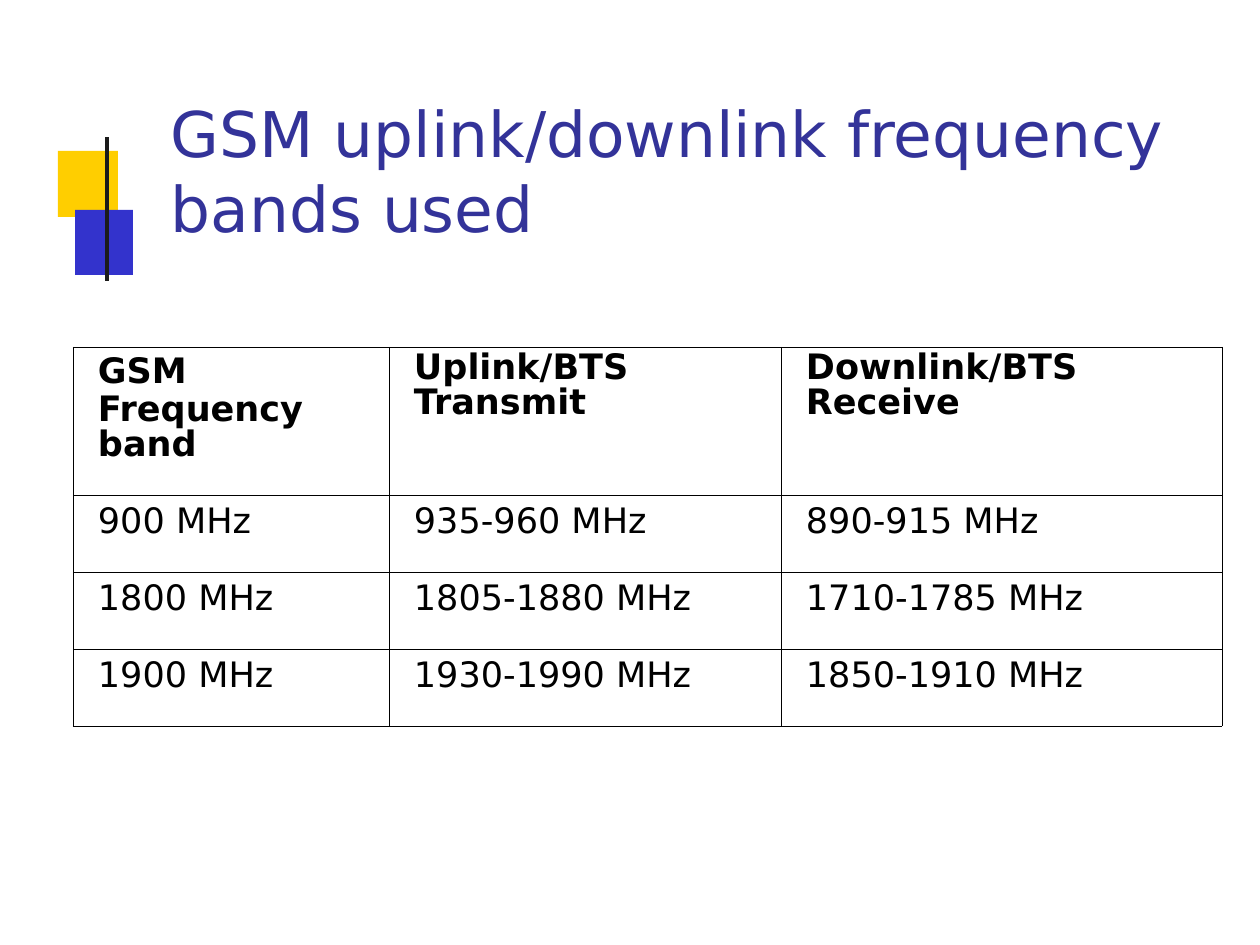
from lxml import etree
from pptx import Presentation
from pptx.dml.color import RGBColor
from pptx.enum.shapes import MSO_SHAPE
from pptx.enum.text import MSO_ANCHOR, MSO_AUTO_SIZE, PP_ALIGN
from pptx.oxml.ns import qn
from pptx.util import Inches, Pt

RECTANGLE = MSO_SHAPE.RECTANGLE
TOP, MIDDLE = MSO_ANCHOR.TOP, MSO_ANCHOR.MIDDLE
NO_AUTOFIT = MSO_AUTO_SIZE.NONE
LEFT = PP_ALIGN.LEFT

# Content
TITLE = "GSM uplink/downlink frequency bands used"
HEADERS = [
    [("GSM", 22), ("Frequency band", 20)],  # paragraph, line spacing in points
    [("Uplink/BTS Transmit", 20)],
    [("Downlink/BTS Receive", 20)],
]
BANDS = [
    ("900 MHz", "935-960 MHz", "890-915 MHz"),
    ("1800 MHz", "1805-1880 MHz", "1710-1785 MHz"),
    ("1900 MHz", "1930-1990 MHz", "1850-1910 MHz"),
]

# Layout in px: left, top, width, height
SLIDE_SIZE = (1260, 945)
TITLE_BOX = (171, 90, 1029, 160)
ORNAMENTS = [
    ((58, 151, 60, 66), "FFCE00"),
    ((75, 210, 58, 65), "3333CC"),
    ((105, 137, 4, 144), "1B1B1B"),
]
TABLE_ORIGIN = (73, 347)
COLUMN_WIDTHS = [316, 392, 441]
ROW_HEIGHTS = [148, 77, 77, 77]
CELL_MARGINS = {"margin_left": 25, "margin_right": 12,
                "margin_top": 6, "margin_bottom": 6}

# Formats
FONT = "DejaVu Sans"
TITLE_FORMAT = {"name": FONT, "size": Pt(36), "bold": False}
HEADER_FORMAT = {"name": FONT, "size": Pt(20), "bold": True}
BODY_FORMAT = {"name": FONT, "size": Pt(20), "bold": False}
BORDER_WIDTH = Pt(0.23)


def px(value):
    return round(value * Inches(1) / 126)


def color(hex_string):
    return RGBColor.from_string(hex_string)


def apply_format(target, values):
    for name, value in values.items():
        setattr(target, name, value)


def write(paragraph, text, font_format, hex_color):
    paragraph.text = text
    paragraph.alignment = LEFT
    apply_format(paragraph.font, font_format)
    paragraph.font.color.rgb = color(hex_color)


def add_borders(cell, hex_color):
    properties = cell._tc.get_or_add_tcPr()
    for index, side in enumerate(("lnL", "lnR", "lnT", "lnB")):
        line = etree.Element(qn(f"a:{side}"), w=str(BORDER_WIDTH))
        fill = etree.SubElement(line, qn("a:solidFill"))
        etree.SubElement(fill, qn("a:srgbClr"), val=hex_color)
        properties.insert(index, line)


def add_ornaments(slide):
    for box, hex_color in ORNAMENTS:
        shape = slide.shapes.add_shape(RECTANGLE, *map(px, box))
        shape.shadow.inherit = False
        shape.fill.solid()
        shape.fill.fore_color.rgb = color(hex_color)
        shape.line.fill.background()


def format_title(slide):
    title = slide.shapes.title
    title.left, title.top, title.width, title.height = map(px, TITLE_BOX)
    apply_format(title.text_frame, {
        "margin_left": 0, "margin_right": 0, "margin_top": 0, "margin_bottom": 0,
        "word_wrap": True, "auto_size": NO_AUTOFIT, "vertical_anchor": MIDDLE})
    write(title.text_frame.paragraphs[0], TITLE, TITLE_FORMAT, "333399")


def add_band_table(slide):
    rows = [HEADERS] + [[[(text, None)] for text in band] for band in BANDS]
    size = (sum(COLUMN_WIDTHS), sum(ROW_HEIGHTS))
    table = slide.shapes.add_table(
        len(rows), len(HEADERS), *map(px, TABLE_ORIGIN + size)).table
    table.first_row = table.horz_banding = False
    for column, width in zip(table.columns, COLUMN_WIDTHS):
        column.width = px(width)
    for row, height in zip(table.rows, ROW_HEIGHTS):
        row.height = px(height)

    for row_index, row in enumerate(rows):
        font_format = BODY_FORMAT if row_index else HEADER_FORMAT
        for column_index, lines in enumerate(row):
            cell = table.cell(row_index, column_index)
            cell.fill.background()
            cell.vertical_anchor = TOP
            apply_format(cell, {name: px(value) for name, value in CELL_MARGINS.items()})
            add_borders(cell, "000000")
            for index, (text, spacing) in enumerate(lines):
                frame = cell.text_frame
                paragraph = frame.add_paragraph() if index else frame.paragraphs[0]
                write(paragraph, text, font_format, "000000")
                if spacing:
                    paragraph.line_spacing = Pt(spacing)
                if index:
                    paragraph.space_before = Pt(2)


def main():
    presentation = Presentation()
    presentation.slide_width, presentation.slide_height = map(px, SLIDE_SIZE)
    slide = presentation.slides.add_slide(presentation.slide_layouts[5])
    add_ornaments(slide)
    format_title(slide)
    add_band_table(slide)
    presentation.save("out.pptx")


if __name__ == "__main__":
    main()
